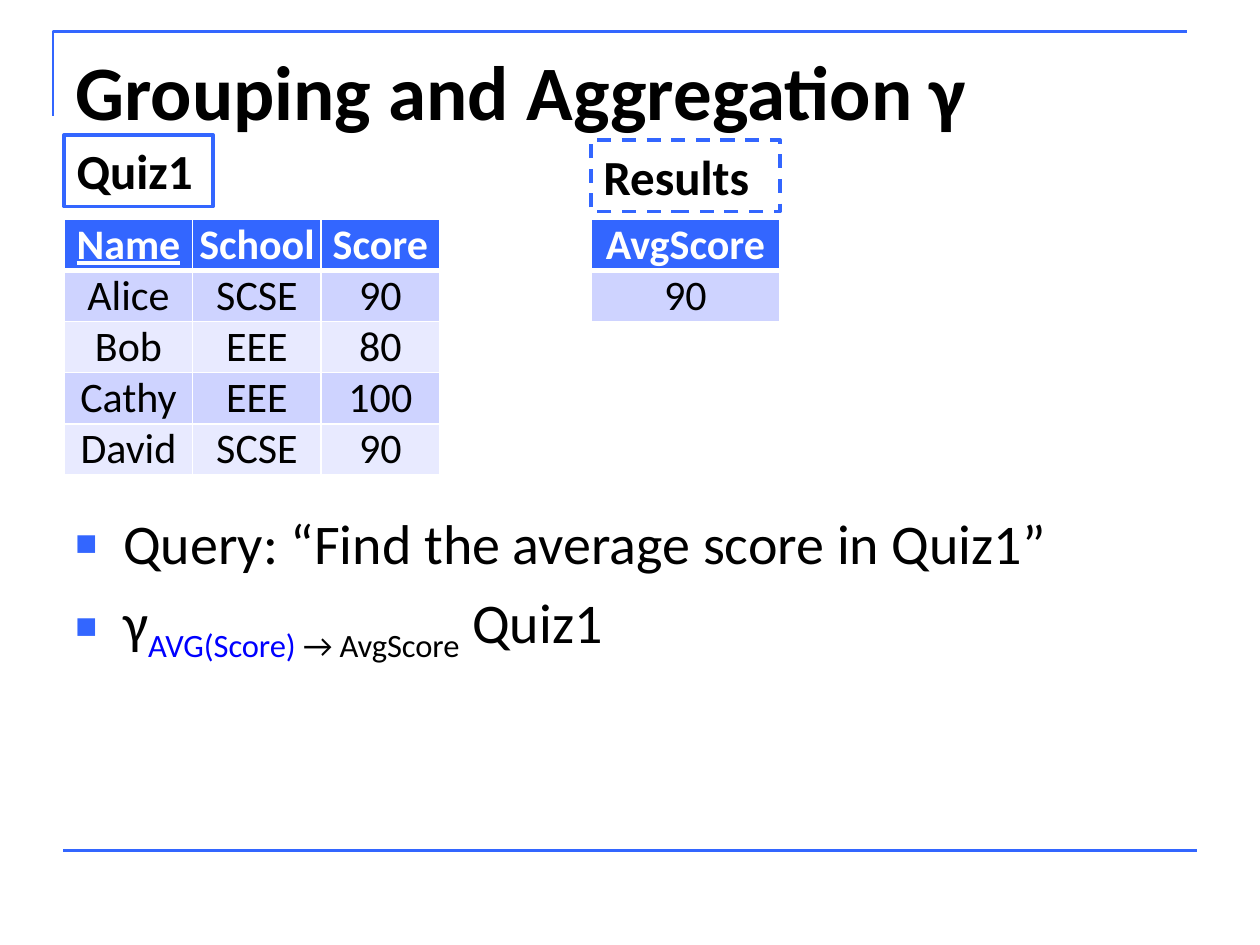
from pptx import Presentation
from pptx.dml.color import RGBColor
from pptx.enum.dml import MSO_LINE
from pptx.enum.shapes import MSO_CONNECTOR, MSO_SHAPE
from pptx.enum.text import MSO_ANCHOR, PP_ALIGN
from pptx.oxml.ns import qn
from pptx.util import Inches, Pt
from lxml.etree import SubElement

BLUE = RGBColor(0x33, 0x66, 0xFF)
LINK = RGBColor(0x00, 0x00, 0xFF)
BLACK = RGBColor(0x00, 0x00, 0x00)
WHITE = RGBColor(0xFF, 0xFF, 0xFF)
BANDS = [RGBColor(0xE8, 0xEA, 0xFF), RGBColor(0xCE, 0xD3, 0xFF)]
FONT = "Calibri"

# Content
TITLE = "Grouping and Aggregation γ"
QUIZ = [
    ("Name", "School", "Score"),
    ("Alice", "SCSE", "90"),
    ("Bob", "EEE", "80"),
    ("Cathy", "EEE", "100"),
    ("David", "SCSE", "90"),
]
RESULT = [("AvgScore",), ("90",)]
# Table: left, column widths, rows, underlined key
TABLES = [
    (0.51, (1.02, 1.02, 0.94), QUIZ, "Name"),
    (4.69, (1.5,), RESULT, None),
]
# Label: text, left, top, width, dash
LABELS = [
    ("Quiz1", 0.51, 1.07, 1.18, None),
    ("Results", 4.69, 1.11, 1.5, MSO_LINE.DASH),
]
# Bullet runs: text, colour, baseline
BODY = [
    [("Query: “Find the average score in Quiz1”", BLACK, 0)],
    [("γ", BLACK, 0), ("AVG(Score) ", LINK, -25),
     ("→ AvgScore", BLACK, -25), (" Quiz1", BLACK, 0)],
]
TOP, ROW = 1.74, 0.406


def add_run(para, text, size, color=BLACK, bold=False):
    run = para.add_run()
    run.text = text
    font = run.font
    font.name, font.size, font.bold = FONT, Pt(size), bold
    font.color.rgb = color
    return run


def add_box(slide, *area):
    frame = slide.shapes.add_textbox(*map(Inches, area)).text_frame
    frame.word_wrap = True
    return frame


def add_bullet(para):
    props = para._p.get_or_add_pPr()
    props.set("marL", str(Inches(0.38)))
    props.set("indent", str(-Inches(0.38)))
    para.space_before = Pt(6.4)
    color = SubElement(props, qn("a:buClr"))
    SubElement(color, qn("a:srgbClr"), val=str(BLUE))
    SubElement(props, qn("a:buSzPct"), val="65000")
    SubElement(props, qn("a:buFont"), typeface="Arial")
    SubElement(props, qn("a:buChar"), char="■")


def set_edges(cell, above, below):
    props = cell._tc.get_or_add_tcPr()
    for side, width in zip("LRTB", (1, 1, above, below)):
        line = SubElement(props, qn("a:ln" + side), w=str(Pt(width)))
        fill = SubElement(line, qn("a:solidFill"))
        SubElement(fill, qn("a:srgbClr"), val=str(WHITE))


def add_grid(slide, left, widths, rows, key):
    area = map(Inches, (left, TOP, sum(widths), ROW * len(rows)))
    table = slide.shapes.add_table(len(rows), len(widths), *area).table
    for col, width in zip(table.columns, widths):
        col.width = Inches(width)
    for i, row in enumerate(rows):
        table.rows[i].height = Inches(ROW)
        head = i == 0
        for j, text in enumerate(row):
            cell = table.cell(i, j)
            cell.margin_left = cell.margin_right = 0
            cell.margin_top = cell.margin_bottom = 0
            set_edges(cell, 3 if i == 1 else 1, 3 if head else 1)
            cell.fill.solid()
            cell.fill.fore_color.rgb = BLUE if head else BANDS[i % 2]
            para = cell.text_frame.paragraphs[0]
            para.alignment = PP_ALIGN.CENTER
            run = add_run(para, text, 24, WHITE if head else BLACK, head)
            if text == key:
                run.font.underline = True


def add_label(slide, text, left, top, width, dash):
    area = map(Inches, (left, top, width, 0.57))
    box = slide.shapes.add_shape(MSO_SHAPE.RECTANGLE, *area)
    box.shadow.inherit = False
    box.fill.background()
    box.line.color.rgb, box.line.width = BLUE, Pt(2)
    if dash:
        box.line.dash_style = dash
    frame = box.text_frame
    frame.word_wrap = False
    frame.vertical_anchor = MSO_ANCHOR.TOP
    para = frame.paragraphs[0]
    para.alignment = PP_ALIGN.LEFT
    add_run(para, text, 28, bold=True)


def add_frame(slide):
    # Corner rule at the top
    pen = slide.shapes.build_freeform(Inches(0.42), Inches(0.92))
    pen.add_line_segments([(Inches(0.42), Inches(0.25)),
                           (Inches(9.42), Inches(0.25))], close=False)
    corner = pen.convert_to_shape()
    corner.shadow.inherit = False
    corner.fill.background()
    # Rule at the foot
    ends = map(Inches, (0.5, 6.75, 9.5, 6.75))
    foot = slide.shapes.add_connector(MSO_CONNECTOR.STRAIGHT, *ends)
    SubElement(foot._element.spPr, qn("a:effectLst"))
    for rule in (corner, foot):
        rule.line.color.rgb, rule.line.width = BLUE, Pt(1.5)


def main():
    deck = Presentation()
    deck.slide_width, deck.slide_height = Inches(10), Inches(7.5)
    slide = deck.slides.add_slide(deck.slide_layouts[6])
    add_frame(slide)

    # Title
    title = add_box(slide, 0.5, 0.3, 9, 1.25)
    add_run(title.paragraphs[0], TITLE, 44, bold=True)

    # Query bullets
    body = add_box(slide, 0.5, 3.99, 9, 2.72)
    for i, runs in enumerate(BODY):
        para = body.add_paragraph() if i else body.paragraphs[0]
        add_bullet(para)
        for text, color, base in runs:
            run = add_run(para, text, 32, color)
            if base:
                run._r.get_or_add_rPr().set("baseline", str(base * 1000))

    # Tables and their labels
    for grid, label in zip(TABLES, LABELS):
        add_grid(slide, *grid)
        add_label(slide, *label)
    deck.save("out.pptx")


if __name__ == "__main__":
    main()
